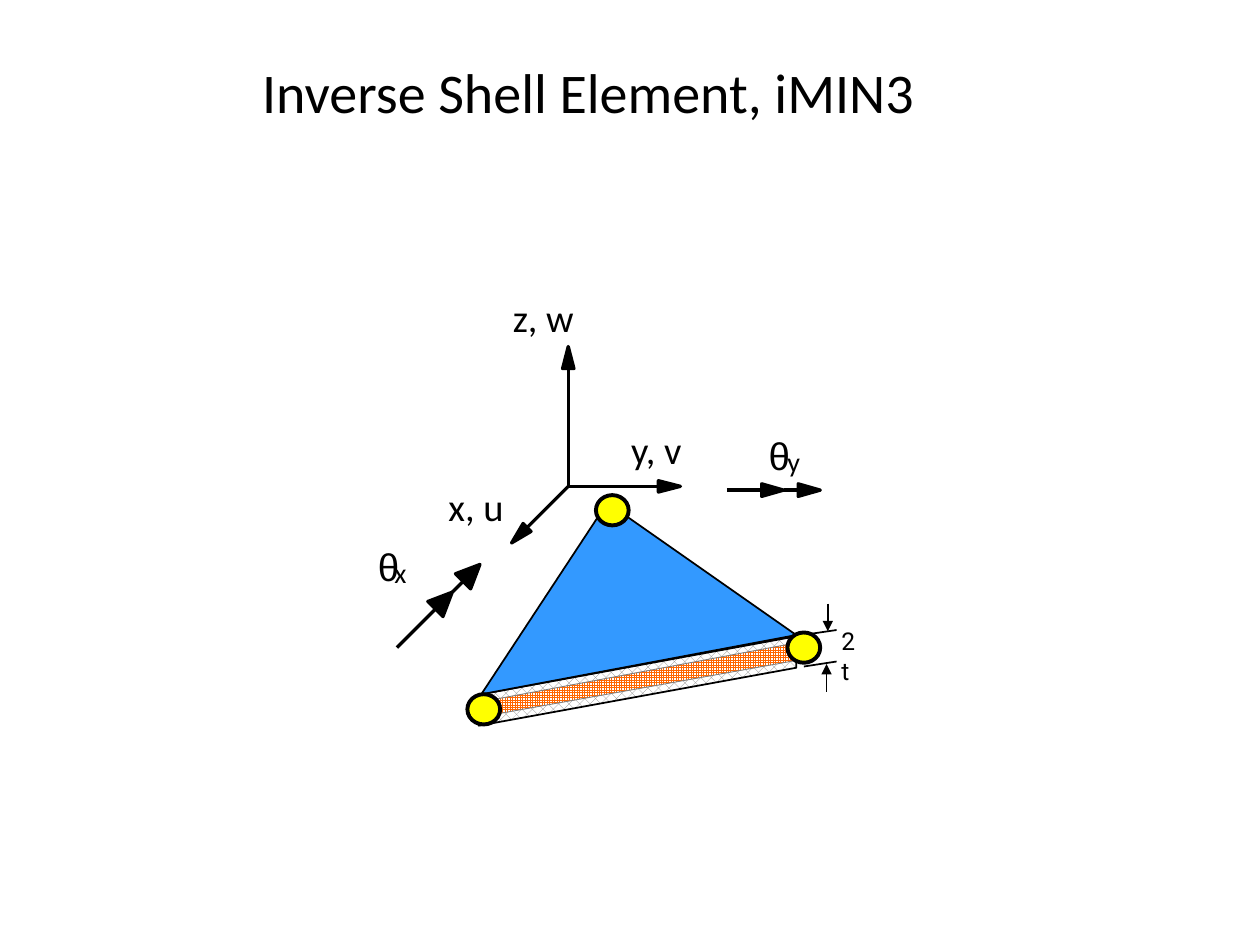
import math
from dataclasses import dataclass

import lxml.etree
import pptx
import pptx.dml.color
import pptx.enum.dml
import pptx.enum.shapes
import pptx.enum.text
import pptx.oxml.ns
import pptx.util

COLS, ROWS = 100, 75
CELL = pptx.util.Inches(10) // COLS


@dataclass(frozen=True)
class Theme:
    """Colours, fonts, type sizes and line widths."""
    ink: str = "000000"
    paper: str = "FFFFFF"
    face: str = "3399FF"
    core: str = "FF6600"
    grey: str = "808080"
    node: str = "FFFF00"
    body: str = "Calibri"
    greek: str = "Arial"
    gauge: str = "Roboto"
    title: int = 32
    label: int = 22
    sub: int = 16
    small: int = 14
    hair: float = 0.5
    thin: float = 1
    bold: float = 1.88
    ring: float = 2.25


THEME = Theme()


@dataclass(frozen=True)
class Box:
    """A region of the slide, in grid cells."""
    left: float
    top: float
    wide: float
    high: float

    def at(self, x, y):
        """Turn cells from the region's corner into slide lengths."""
        return round((self.left + x) * CELL), round((self.top + y) * CELL)


def tint(code):
    """Make a colour from its code."""
    return pptx.dml.color.RGBColor.from_string(code)


def style(shape, fill, width, edge=THEME.ink):
    """Give a shape its fill and outline; a tuple is a pattern."""
    shape.shadow.inherit = False
    if isinstance(fill, tuple):
        shape.fill.patterned()
        shape.fill.pattern = pptx.enum.dml.MSO_PATTERN.from_xml(fill[0])
        shape.fill.fore_color.rgb = tint(fill[1])
        shape.fill.back_color.rgb = tint(THEME.paper)
    else:
        shape.fill.solid()
        shape.fill.fore_color.rgb = tint(fill)
    shape.line.color.rgb = tint(edge)
    shape.line.width = pptx.util.Pt(width)


def shape_of(slide, box, points, fill, width, edge=THEME.ink):
    """Draw a closed outline through the points."""
    spots = [box.at(*point) for point in points]
    path = slide.shapes.build_freeform(*spots[0])
    path.add_line_segments(spots[1:], close=True)
    style(path.convert_to_shape(), fill, width, edge)


def line(slide, box, start, end, width, tipped=False):
    """Draw a straight line, with an arrowhead if tipped."""
    kind = pptx.enum.shapes.MSO_CONNECTOR.STRAIGHT
    link = slide.shapes.add_connector(kind, *box.at(*start), *box.at(*end))
    link.line.color.rgb = tint(THEME.ink)
    link.line.width = pptx.util.Pt(width)
    name = pptx.oxml.ns.qn
    if tipped:
        edge = link._element.spPr.find(name("a:ln"))
        lxml.etree.SubElement(edge, name("a:tailEnd"), type="triangle")
    lxml.etree.SubElement(link._element.spPr, name("a:effectLst"))


def arrow(slide, box, start, tip, head):
    """Draw a bold line that ends in a solid head of given length and half width."""
    span = math.dist(start, tip)
    ux, uy = (tip[0] - start[0]) / span, (tip[1] - start[1]) / span
    size, half = head
    neck = (tip[0] - size * ux, tip[1] - size * uy)
    wings = [(neck[0] - side * uy, neck[1] + side * ux) for side in (half, -half)]
    shape_of(slide, box, [tip, *wings], THEME.ink, THEME.bold)
    line(slide, box, start, neck, THEME.bold)


def label(slide, box, place, size, text, points, font, inset=False):
    """Write a short label; an inset one keeps its margins and wraps."""
    item = slide.shapes.add_textbox(*box.at(*place), *(round(part * CELL) for part in size))
    frame = item.text_frame
    frame.word_wrap = inset
    if not inset:
        frame.margin_left = frame.margin_right = frame.margin_top = frame.margin_bottom = 0
    para = frame.paragraphs[0]
    para.text = text
    para.font.size = pptx.util.Pt(points)
    para.font.name = font
    para.font.color.rgb = tint(THEME.ink)


def title(slide, box, text):
    """Place and format the slide's title."""
    item = slide.shapes.title
    item.left, item.top = box.at(0, 0)
    item.width, item.height = round(box.wide * CELL), round(box.high * CELL)
    item.text_frame.vertical_anchor = pptx.enum.text.MSO_ANCHOR.MIDDLE
    para = item.text_frame.paragraphs[0]
    para.text = text
    para.alignment = pptx.enum.text.PP_ALIGN.CENTER
    para.font.size = pptx.util.Pt(THEME.title)
    para.font.name = THEME.body
    para.font.color.rgb = tint(THEME.ink)


def axes(slide, box):
    """Draw the three axes and their names."""
    root = (9.5, 15.3)
    for tip, text, place, wide in [
        ((18.4, 15.3), "y, v", (14.5, 10.5), 4),
        ((9.5, 4.2), "z, w", (5.1, 0), 4.9),
        ((5, 19.8), "x, u", (0, 15), 4.4),
    ]:
        arrow(slide, box, root, tip, (1.75, 0.45))
        label(slide, box, place, (wide, 3.7), text, THEME.label, THEME.body)


def turn(slide, box, axis, place, gap, stops, head):
    """Draw a double-headed rotation arrow with its subscripted name."""
    for start, tip in zip(stops, stops[1:]):
        arrow(slide, box, start, tip, head)
    label(slide, box, place, (1.6, 3.7), "θ", THEME.label, THEME.greek)
    under = (place[0] + gap, place[1] + 1)
    label(slide, box, under, (1, 2.7), axis, THEME.sub, THEME.body)


def gauge(slide, box):
    """Mark the thickness of the element."""
    for start, end, tipped in [
        ((0, 2.5), (2.7, 2.1), False),
        ((0.1, 5), (2.7, 4.6), False),
        ((1.9, 7), (1.9, 4.8), True),
        ((2, 0), (2, 2.2), True),
    ]:
        line(slide, box, start, end, THEME.thin, tipped)
    label(slide, box, (2.1, 1.3), (3.6, 3.4), "2t", THEME.small, THEME.gauge, inset=True)


def shell(slide, box):
    """Draw the layered triangle and its three nodes."""
    side = [(1.1, 15.8), (26.1, 11.2), (26.1, 13.7), (0.9, 18.3)]
    core = [(1.1, 16.4), (26.2, 11.7), (26.2, 13.1), (1, 17.6)]
    face = [(11.1, 0.6), (1.1, 15.8), (26.1, 11.1)]
    shape_of(slide, box, side, ("pct40", THEME.grey), THEME.thin)
    shape_of(slide, box, core, ("smGrid", THEME.core), THEME.hair, THEME.grey)
    shape_of(slide, box, face, THEME.face, THEME.thin)
    oval = pptx.enum.shapes.MSO_SHAPE.OVAL
    for place in [(10.2, 0), (0, 15.8), (25.4, 10.9)]:
        node = slide.shapes.add_shape(oval, *box.at(*place), round(2.6 * CELL), round(2.4 * CELL))
        style(node, THEME.node, THEME.ring)


def main():
    """Build the slide and save it."""
    deck = pptx.Presentation()
    deck.slide_width, deck.slide_height = COLS * CELL, ROWS * CELL
    slide = deck.slides.add_slide(deck.slide_layouts[5])
    title(slide, Box(9.2, -0.8, 75, 16.1), "Inverse Shell Element, iMIN3")
    gauge(slide, Box(63.7, 47.9, 5.7, 7))
    axes(slide, Box(35.6, 23.3, 18.5, 19.8))
    turn(slide, Box(57.7, 34.3, 7.4, 5), "y", (3.3, 0), 1.5,
         [(0, 4.6), (4.5, 4.6), (7.4, 4.6)], (1.75, 0.5))
    turn(slide, Box(30, 43.1, 8.1, 8.3), "x", (0, 0), 1.3,
         [(1.5, 8.3), (5.9, 3.9), (8.1, 1.7)], (1.9, 0.85))
    shell(slide, Box(37.1, 39.3, 28, 18.3))
    deck.save("out.pptx")


if __name__ == "__main__":
    main()
